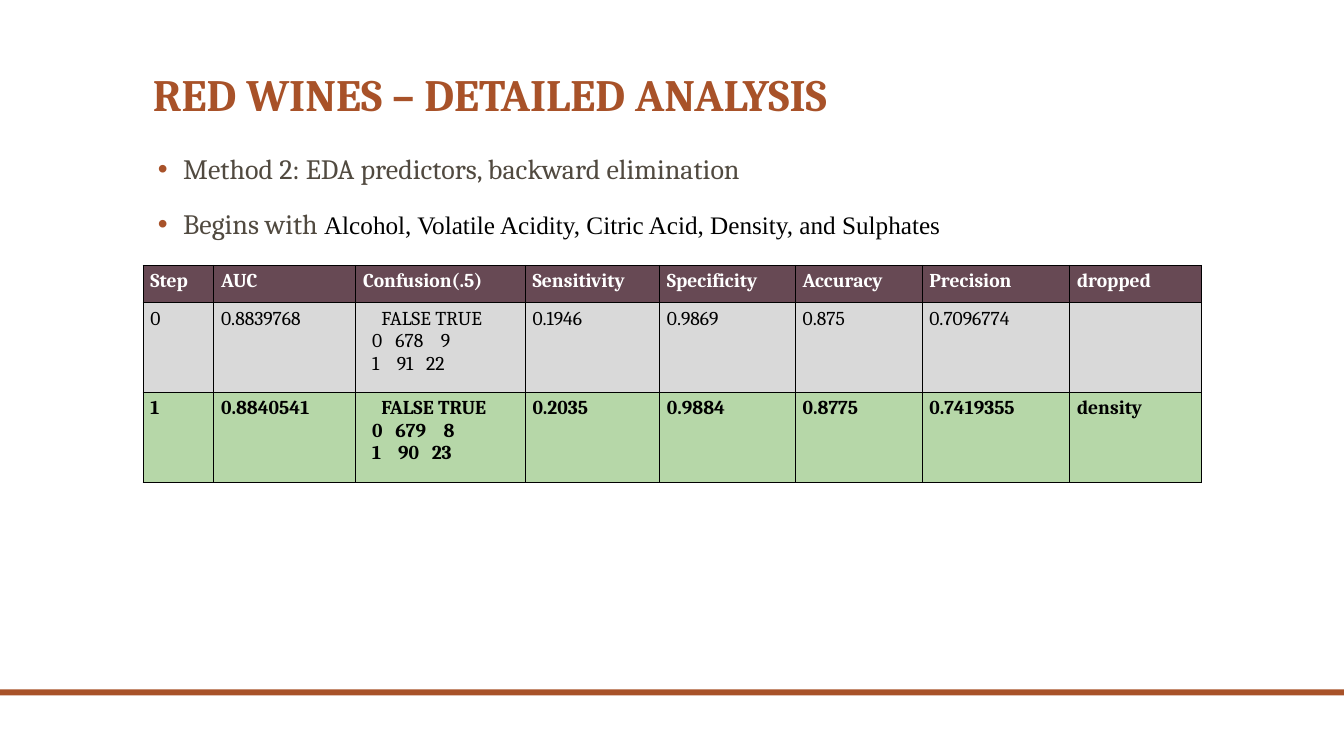
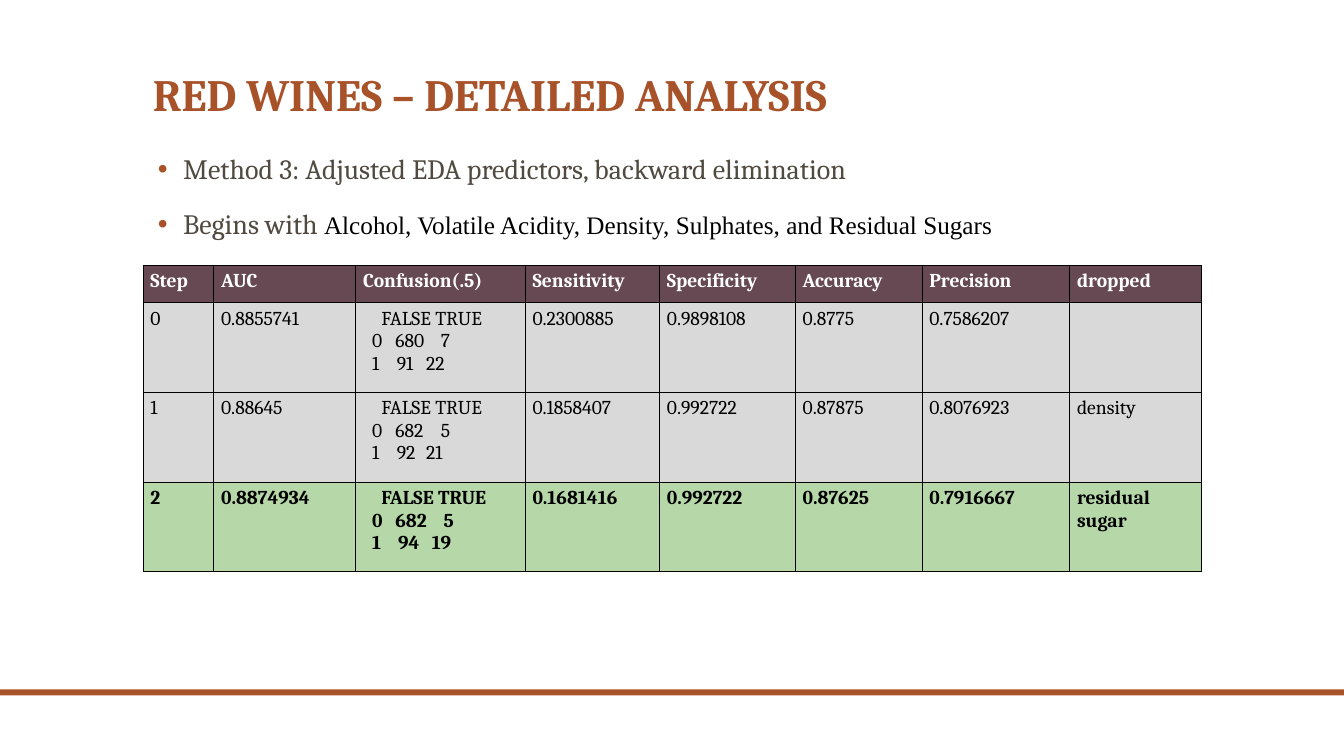
from lxml.etree import SubElement
from pptx import Presentation
from pptx.dml.color import RGBColor
from pptx.enum.shapes import MSO_SHAPE
from pptx.enum.text import MSO_ANCHOR
from pptx.oxml.ns import qn
from pptx.util import Pt

RUST = RGBColor(0xA8, 0x52, 0x29)
TAUPE = RGBColor(0x51, 0x4A, 0x40)
PLUM = RGBColor(0x67, 0x49, 0x54)
GREY = RGBColor(0xD9, 0xD9, 0xD9)
GREEN = RGBColor(0xB6, 0xD7, 0xA8)
BLACK = RGBColor(0, 0, 0)
WHITE = RGBColor(0xFF, 0xFF, 0xFF)

HEADINGS = ["Step", "AUC", "Confusion(.5)", "Sensitivity", "Specificity",
            "Accuracy", "Precision", "dropped"]
COLUMN_WIDTHS = [50.5, 101.5, 121, 96, 97, 90.5, 105.5, 94]
REGULAR_STOPS = [(13,), (6.5, 23, 55.5), (6.5, 24, 45)]
BOLD_STOPS = [(13,), (6.5, 23, 57.5), (6.5, 25, 49)]


class AnalysisDeck:
    heading_font = "Cambria"
    predictor_font = "Times New Roman"
    left, width = 102.2, 756
    header_height, row_height = 26.6, 64.1

    def __init__(self):
        self.presentation = Presentation()
        self.presentation.slide_width = Pt(960)
        self.presentation.slide_height = Pt(540)
        self.slide = None

    def add_slide(self, title):
        self.slide = self.presentation.slides.add_slide(self.presentation.slide_layouts[6])
        self.add_footer_band()
        self.add_title(title)

    def style(self, font, size, color, bold=False, name=heading_font):
        font.name, font.size, font.bold = name, Pt(size), bold
        font.color.rgb = color

    def add_frame(self, top, height):
        box = self.slide.shapes.add_textbox(Pt(self.left), Pt(top), Pt(self.width), Pt(height))
        box.text_frame.word_wrap = True
        return box.text_frame

    def add_footer_band(self):
        band = self.slide.shapes.add_shape(MSO_SHAPE.RECTANGLE, 0, Pt(492.5), Pt(960), Pt(4.3))
        band.shadow.inherit = False
        band.fill.solid()
        band.fill.fore_color.rgb = RUST
        band.line.fill.background()

    def add_title(self, title):
        frame = self.add_frame(0, 90)
        frame.vertical_anchor = MSO_ANCHOR.BOTTOM
        heading = frame.paragraphs[0]
        heading.text = title
        heading.line_spacing = 0.9
        self.style(heading.font, 32, RUST, bold=True)

    def add_bullet(self, paragraph):
        paragraph.line_spacing = 0.9
        properties = paragraph._p.get_or_add_pPr()
        properties.set("marL", str(Pt(21.6)))
        properties.set("indent", str(Pt(-18)))
        color = SubElement(properties, qn("a:buClr"))
        SubElement(color, qn("a:srgbClr"), val=str(RUST))
        SubElement(properties, qn("a:buFont"), typeface="Arial")
        SubElement(properties, qn("a:buChar"), char="•")

    def add_summary(self, method, predictors):
        frame = self.add_frame(107.3, 360.7)
        approach = frame.paragraphs[0]
        approach.text = method
        self.add_bullet(approach)
        self.style(approach.font, 20, TAUPE)

        start = frame.add_paragraph()
        start.space_before = Pt(18)
        self.add_bullet(start)
        lead = start.add_run()
        lead.text = "Begins with "
        self.style(lead.font, 20, TAUPE)
        names = start.add_run()
        names.text = predictors
        self.style(names.font, 18, BLACK, name=self.predictor_font)

    def add_tab_stops(self, paragraph, stops):
        tabs = SubElement(paragraph._p.get_or_add_pPr(), qn("a:tabLst"))
        for stop in stops:
            SubElement(tabs, qn("a:tab"), pos=str(Pt(stop)), algn="l")

    def add_borders(self, cell):
        properties = cell._tc.get_or_add_tcPr()
        for side in ("lnL", "lnR", "lnT", "lnB"):
            border = SubElement(properties, qn(f"a:{side}"), w=str(Pt(0.5)))
            fill = SubElement(border, qn("a:solidFill"))
            SubElement(fill, qn("a:srgbClr"), val=str(BLACK))

    def fill_cell(self, cell, content, fill, color, bold):
        cell.margin_left = cell.margin_right = Pt(5.25)
        cell.margin_top = cell.margin_bottom = Pt(3.6)
        self.add_borders(cell)
        cell.fill.solid()
        cell.fill.fore_color.rgb = fill
        is_matrix = isinstance(content, tuple)
        if is_matrix:
            (true_neg, false_pos), (false_neg, true_pos) = content
            content = (f"\tFALSE TRUE\n\t0\t{true_neg}\t{false_pos}"
                       f"\n\t1\t{false_neg}\t{true_pos}")
        cell.text_frame.text = content
        if is_matrix:
            stops = BOLD_STOPS if bold else REGULAR_STOPS
            for paragraph, positions in zip(cell.text_frame.paragraphs, stops):
                self.add_tab_stops(paragraph, positions)
        for paragraph in cell.text_frame.paragraphs:
            self.style(paragraph.font, 14, color, bold)

    def add_steps(self, steps):
        rows = [HEADINGS] + [[str(number), *step] for number, step in enumerate(steps)]
        heights = [self.header_height] + [self.row_height] * len(steps)
        table = self.slide.shapes.add_table(
            len(rows), len(HEADINGS), Pt(self.left), Pt(189.4),
            Pt(self.width), Pt(sum(heights))).table
        for column, width in zip(table.columns, COLUMN_WIDTHS):
            column.width = Pt(width)
        looks = ([(PLUM, WHITE, True)] + [(GREY, BLACK, False)] * (len(steps) - 1)
                 + [(GREEN, BLACK, True)])
        for row, height, values, look in zip(table.rows, heights, rows, looks):
            row.height = Pt(height)
            for cell, value in zip(row.cells, values):
                self.fill_cell(cell, value, *look)


METHODS = [
    ("Method 2: EDA predictors, backward elimination",
     "Alcohol, Volatile Acidity, Citric Acid, Density, and Sulphates",
     [("0.8839768", ((678, 9), (91, 22)), "0.1946", "0.9869", "0.875", "0.7096774", ""),
      ("0.8840541", ((679, 8), (90, 23)), "0.2035", "0.9884", "0.8775", "0.7419355",
       "density")]),
    ("Method 3: Adjusted EDA predictors, backward elimination",
     "Alcohol, Volatile Acidity, Density, Sulphates, and Residual Sugars",
     [("0.8855741", ((680, 7), (91, 22)), "0.2300885", "0.9898108", "0.8775",
       "0.7586207", ""),
      ("0.88645", ((682, 5), (92, 21)), "0.1858407", "0.992722", "0.87875",
       "0.8076923", "density"),
      ("0.8874934", ((682, 5), (94, 19)), "0.1681416", "0.992722", "0.87625",
       "0.7916667", "residual sugar")]),
]


def main():
    deck = AnalysisDeck()
    for method, predictors, steps in METHODS:
        deck.add_slide("RED WINES – DETAILED ANALYSIS")
        deck.add_summary(method, predictors)
        deck.add_steps(steps)
    deck.presentation.save("out.pptx")


if __name__ == "__main__":
    main()
